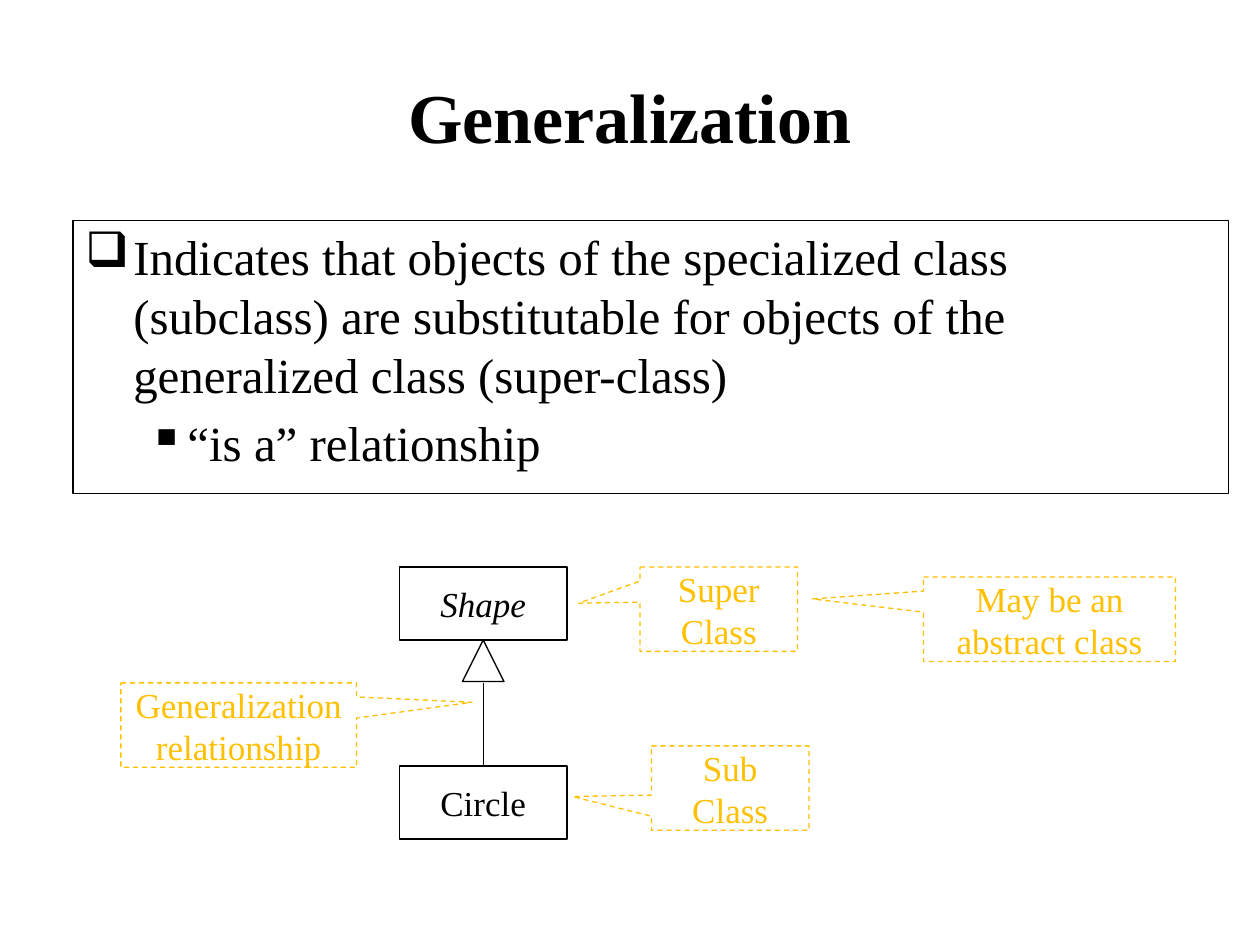
from lxml import etree
from pptx import Presentation
from pptx import util as u
from pptx.dml.color import RGBColor
from pptx.enum import dml, shapes, text
from pptx.oxml.ns import qn

BLACK = RGBColor(0, 0, 0)
GOLD = RGBColor(0xFF, 0xC0, 0)
KIND = shapes.MSO_SHAPE


class Page:
    """Holds the style and the current slide."""

    face = "Times New Roman"
    line = u.Pt(0.75)

    def __init__(self, slide):
        self.slide = slide

    def style(self, para, size, color=BLACK, **more):
        look = {"name": self.face, "size": u.Pt(size), **more}
        for key, val in look.items():
            setattr(para.font, key, val)
        para.font.color.rgb = color

    def label(self, shape, words, size, color=BLACK, **more):
        frame = shape.text_frame
        frame.word_wrap = True
        frame.vertical_anchor = text.MSO_ANCHOR.MIDDLE
        para = frame.paragraphs[0]
        para.text = words
        para.alignment = text.PP_ALIGN.CENTER
        self.style(para, size, color, **more)

    def title(self, words, *box):
        shape = self.slide.shapes.add_textbox(*map(u.Inches, box))
        self.label(shape, words, 40, bold=True)

    def shape(self, kind, *box, color=BLACK):
        shape = self.slide.shapes.add_shape(kind, *map(u.Inches, box))
        shape.shadow.inherit = False
        shape.fill.background()
        shape.line.color.rgb = color
        shape.line.width = self.line
        return shape

    def node(self, words, *box, **more):
        shape = self.shape(KIND.RECTANGLE, *box)
        self.label(shape, words, 20, **more)
        return shape

    def callout(self, words, tip, *box):
        shape = self.shape(KIND.RECTANGULAR_CALLOUT, *box, color=GOLD)
        shape.line.dash_style = dml.MSO_LINE.DASH
        for i, val in enumerate(tip):
            shape.adjustments[i] = val
        self.label(shape, words, 20, GOLD)

    def bullets(self, items, *box):
        frame = self.shape(KIND.RECTANGLE, *box).text_frame
        frame.word_wrap = True
        frame.margin_right = u.Inches(0.2)
        frame.vertical_anchor = text.MSO_ANCHOR.TOP
        for i, (mark, left, hang, gap, words) in enumerate(items):
            para = frame.add_paragraph() if i else frame.paragraphs[0]
            para.text = words
            para.level = i
            para.alignment = text.PP_ALIGN.LEFT
            para.space_before = u.Pt(gap)
            props = para._p.get_or_add_pPr()
            props.set("marL", str(u.Inches(left)))
            props.set("indent", str(-u.Inches(hang)))
            etree.SubElement(props, qn("a:buChar"), char=mark)
            self.style(para, 28)

    def link(self, x, top, base, node):
        ends = map(u.Inches, (x, top, x, base))
        line = self.slide.shapes.add_connector(shapes.MSO_CONNECTOR.STRAIGHT, *ends)
        line.end_connect(node, 0)
        line.line.color.rgb = BLACK
        line.line.width = self.line
        etree.SubElement(line._element.spPr, qn("a:effectLst"))


def main():
    deck = Presentation()
    deck.slide_width, deck.slide_height = u.Inches(10), u.Inches(7.5)
    page = Page(deck.slides.add_slide(deck.slide_layouts[6]))

    # Title and definition
    page.title("Generalization", 0.75, 0.5, 8.5, 0.83)
    page.bullets([
        ("❑", 0.38, 0.38, 0, "Indicates that objects of the specialized class "
         "(subclass) are substitutable for objects of the generalized class "
         "(super-class)"),
        ("▪", 0.81, 0.31, 5.6, "“is a” relationship"),
    ], 0.58, 1.75, 9.17, 2.17)

    # Class diagram
    left, wide, high = 3.17, 1.33, 0.58
    mid = left + wide / 2
    page.node("Shape", left, 4.5, wide, high, italic=True)
    page.shape(KIND.ISOSCELES_TRIANGLE, mid - 0.165, 5.08, 0.33, 0.33)
    circle = page.node("Circle", left, 6.08, wide, high)
    page.link(mid, 5.42, 6.08, circle)

    # Callouts: words, tip, left, top, width
    for words, tip, x, y, w in [
        ("Super Class", (-0.89, -0.07), 5.08, 4.5, 1.25),
        ("Sub Class", (-1, 0.1), 5.17, 5.92, 1.25),
        ("May be an abstract class", (-0.94, -0.24), 7.33, 4.58, 2),
        ("Generalization relationship", (0.99, -0.27), 0.96, 5.42, 1.87),
    ]:
        page.callout(words, tip, x, y, w, 0.67)

    deck.save("out.pptx")


if __name__ == "__main__":
    main()
